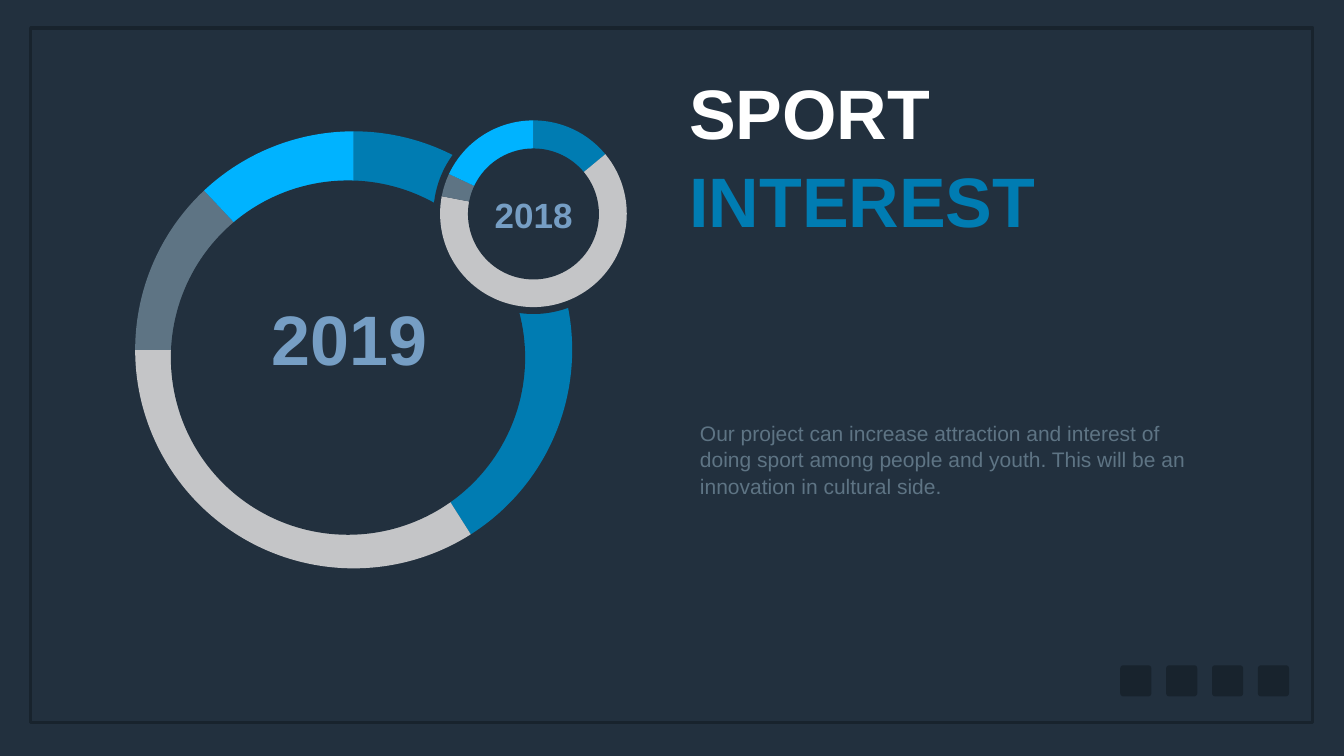
from lxml import etree
from pptx import Presentation
from pptx.chart.data import CategoryChartData
from pptx.dml.color import RGBColor
from pptx.enum.chart import XL_CHART_TYPE
from pptx.enum.shapes import MSO_SHAPE
from pptx.enum.text import MSO_ANCHOR, PP_ALIGN
from pptx.oxml import parse_xml
from pptx.oxml.ns import nsdecls
from pptx.util import Inches, Pt

ROW = 0.15  # square grid cell: a hundredth of the slide height, in inches
FONT = "Arial"
NAVY, DARK, BLUE, WHITE = "22303E", "18232D", "007CB2", "FFFFFF"
LABEL, SLATE = "769EC4", "5E7484"
SLICES = [BLUE, "C4C5C7", SLATE, "00B3FF"]


def rgb(value):
    return RGBColor.from_string(value)


def cells(*counts):
    return [Inches(n * ROW) for n in counts]


def centred(cx, cy, size):
    return cx - size / 2, cy - size / 2, size, size


def add_plain(slide, kind, box, fill=None, line=None, width=5):
    sp = slide.shapes.add_shape(kind, *cells(*box))
    sp.shadow.inherit = False
    if fill:
        sp.fill.solid()
        sp.fill.fore_color.rgb = rgb(fill)
    else:
        sp.fill.background()
    if line:
        sp.line.color.rgb = rgb(line)
        sp.line.width = Pt(width)
    else:
        sp.line.fill.background()
    return sp


def write(sp, lines, size, bold=False, align=PP_ALIGN.LEFT, anchor=MSO_ANCHOR.MIDDLE):
    """Fill a shape with one paragraph for each (text, colour) pair."""
    tf = sp.text_frame
    tf.word_wrap = True
    tf.vertical_anchor = anchor
    tf.margin_left = tf.margin_right = tf.margin_top = tf.margin_bottom = Inches(0.06)
    for i, (text, color) in enumerate(lines):
        p = tf.add_paragraph() if i else tf.paragraphs[0]
        p.text = text
        p.alignment = align
        p.line_spacing = 1.05
        p.space_before = Pt(0)
        p.font.name, p.font.size, p.font.bold = FONT, Pt(size), bold
        p.font.color.rgb = rgb(color)


def add_pie(slide, box, values, plot):
    """Add a transparent pie whose plot area takes the given shares of the box."""
    data = CategoryChartData()
    data.categories = ["1", "2", "3", "4"]
    data.add_series("Series 1", values)
    chart = slide.shapes.add_chart(XL_CHART_TYPE.PIE, *cells(*box), data).chart
    chart.has_title = chart.has_legend = False
    chart.font.name, chart.font.size = FONT, Pt(10)
    chart.font.color.rgb = rgb(NAVY)
    pie = chart.plots[0]
    pie.vary_by_categories = False
    for i, color in enumerate(SLICES):
        point = pie.series[0].points[i].format
        point.fill.solid()
        point.fill.fore_color.rgb = rgb(color)
        point.line.fill.background()

    area = chart.element.chart.plotArea
    for old in area.findall("{*}layout"):
        area.remove(old)
    layout = parse_xml(f"<c:layout {nsdecls('c')}><c:manualLayout/></c:layout>")
    settings = [("layoutTarget", "inner"), ("xMode", "edge"), ("yMode", "edge")]
    for tag, val in settings + list(zip("xywh", plot)):
        ns = layout.nsmap["c"]
        etree.SubElement(layout[0], f"{{{ns}}}{tag}").set("val", str(val))
    area.insert(0, layout)
    chart.element.chart.addnext(parse_xml(
        f"<c:spPr {nsdecls('c', 'a')}><a:noFill/><a:ln><a:noFill/></a:ln></c:spPr>"))


def add_ring(slide, box, values, plot, hole, year, year_box, size):
    add_pie(slide, box, values, plot)
    add_plain(slide, MSO_SHAPE.OVAL, hole, NAVY)
    label = slide.shapes.add_textbox(*cells(*year_box))
    write(label, [(year, LABEL)], size, True, PP_ALIGN.CENTER)


def add_rings(slide):
    add_ring(slide, (16.8, 17.07, 142.8, 60.6), (41, 34, 13, 12),
             (0.005, 0.005, 0.41, 0.954), (22.6, 23.87, 46.87, 46.87),
             "2019", (27.2, 38.47, 38.07, 11.87), 100)
    center = 70.57, 28.3
    add_plain(slide, MSO_SHAPE.OVAL, centred(*center, 26.47), NAVY)
    add_ring(slide, centred(*center, 25), (14, 64, 4, 18),
             (0.005, 0.005, 0.99, 0.988), centred(*center, 17.33),
             "2018", (61.53, 25.13, 18.13, 6.27), 50)


def add_backdrop(slide):
    slide.background.fill.solid()
    slide.background.fill.fore_color.rgb = rgb(NAVY)
    add_plain(slide, MSO_SHAPE.RECTANGLE, (4.07, 3.73, 169.6, 91.87), line=DARK)


def add_badges(slide, left, top, size, pitch, count=4):
    for i in range(count):
        box = left + i * pitch, top, size, size
        sp = add_plain(slide, MSO_SHAPE.ROUNDED_RECTANGLE, box, DARK)
        sp.adjustments[0] = 0.1


def add_message(slide, title_box, text_box):
    title = slide.shapes.title
    title.left, title.top, title.width, title.height = cells(*title_box)
    write(title, [("SPORT", WHITE), ("INTEREST", BLUE)], 100, True,
          anchor=MSO_ANCHOR.BOTTOM)
    text = slide.shapes.add_textbox(*cells(*text_box))
    write(text, [("Our project can increase attraction and interest of doing sport "
                  "among people and youth. This will be an innovation in cultural "
                  "side.", SLATE)], 30)


def main():
    prs = Presentation()
    prs.slide_width, prs.slide_height = Inches(26.67), Inches(15)
    slide = prs.slides.add_slide(prs.slide_layouts[5])
    add_backdrop(slide)
    add_badges(slide, 148.2, 88, 4.12, 6.07)
    add_message(slide, (90.8, 9.13, 47, 23.2), (92.2, 55.27, 65.93, 10.87))
    add_rings(slide)
    prs.save("out.pptx")


if __name__ == "__main__":
    main()
